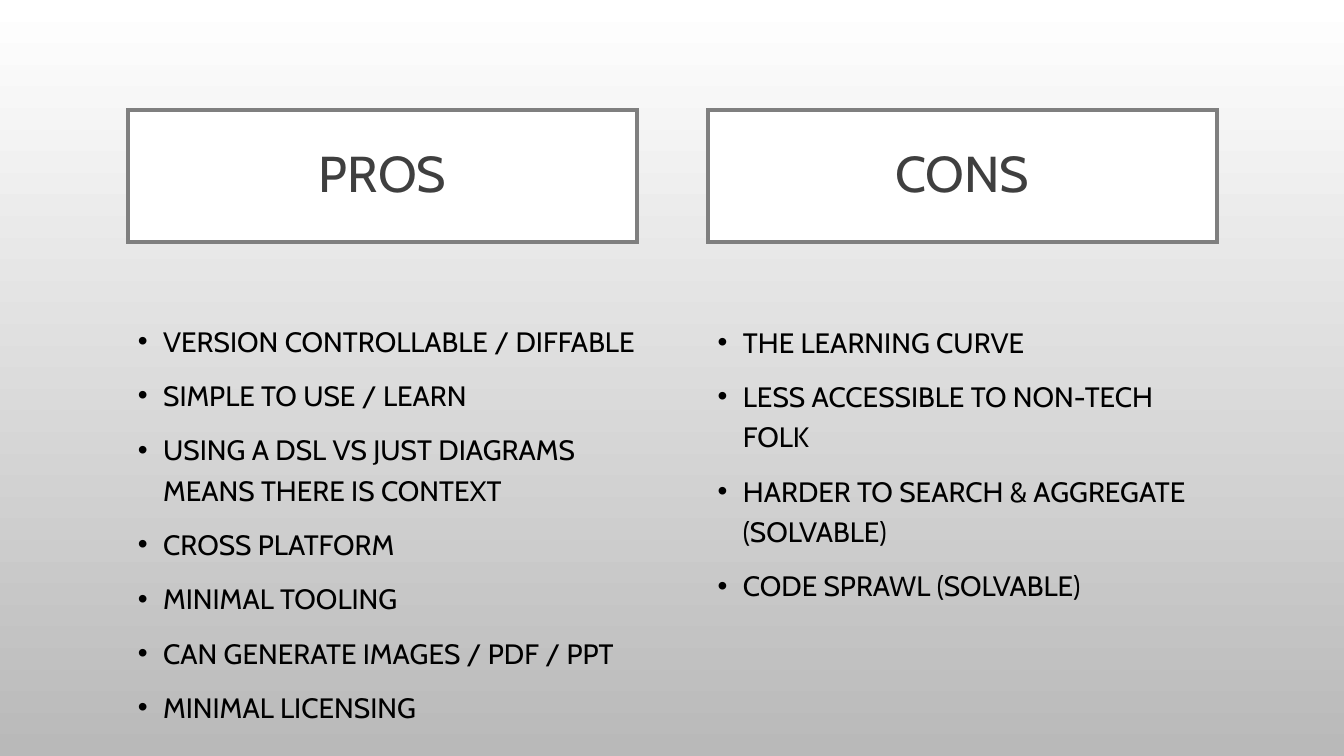
"""Build a slide that lists pros and cons in two columns."""
from lxml import etree
from pptx import Presentation
from pptx import util as u
from pptx.dml.color import RGBColor
from pptx.enum import shapes, text
from pptx.oxml import ns

COLOURS = {"top": "FFFFFF", "bottom": "B9B9B9", "box": "FFFFFF",
           "border": "7F7F7F", "heading": "3F3F3F", "body": "000000"}
FONT = "Cabin"
COLUMNS = [
    ("PROS", 1.27, (3.1, 5.44, 4), [
        "VERSION CONTROLLABLE / DIFFABLE",
        "SIMPLE TO USE / LEARN",
        "USING A DSL VS JUST DIAGRAMS MEANS THERE IS CONTEXT",
        "CROSS PLATFORM",
        "MINIMAL TOOLING",
        "CAN GENERATE IMAGES / PDF / PPT",
        "MINIMAL LICENSING",
    ]),
    ("CONS", 7.02, (3.11, 5.05, 3.24), [
        "THE LEARNING CURVE",
        "LESS ACCESSIBLE TO NON-TECH FOLK",
        "HARDER TO SEARCH & AGGREGATE (SOLVABLE)",
        "CODE SPRAWL (SOLVABLE)",
    ]),
]


def rgb(name):
    return RGBColor.from_string(COLOURS[name])


def style(paragraph, size, colour, spacing):
    paragraph.line_spacing = spacing
    for run in paragraph.runs:
        run.font.name = FONT
        run.font.size = u.Pt(size)
        run.font.color.rgb = rgb(colour)


deck = Presentation()
deck.slide_width, deck.slide_height = u.Inches(13.33), u.Inches(7.5)
slide = deck.slides.add_slide(deck.slide_layouts[6])

backdrop = slide.background.fill
backdrop.gradient()
backdrop.gradient_angle = 270
for stop, colour, position in zip(backdrop.gradient_stops, ("top", "bottom"), (0, 1)):
    stop.color.rgb = rgb(colour)
    stop.position = position

for title, left, (top, width, height), points in COLUMNS:
    heading = slide.shapes.add_shape(
        shapes.MSO_SHAPE.RECTANGLE, u.Inches(left), u.Inches(1.09), u.Inches(5.05), u.Inches(1.31))
    heading.shadow.inherit = False
    heading.fill.solid()
    heading.fill.fore_color.rgb = rgb("box")
    heading.line.color.rgb = rgb("border")
    heading.line.width = u.Pt(3)
    outline = heading.line._get_or_add_ln()
    etree.SubElement(outline, ns.qn("a:miter"), lim="800000")
    heading.text_frame.text = title
    heading.text_frame.vertical_anchor = text.MSO_ANCHOR.MIDDLE
    heading.text_frame.paragraphs[0].alignment = text.PP_ALIGN.CENTER
    style(heading.text_frame.paragraphs[0], 36, "heading", 0.9)

    arguments = slide.shapes.add_textbox(
        u.Inches(left), u.Inches(top), u.Inches(width), u.Inches(height)).text_frame
    arguments.word_wrap = True
    arguments.text = "\n".join(points)
    for index, point in enumerate(arguments.paragraphs):
        style(point, 20, "body", 1.2)
        if index:
            point.space_before = u.Pt(10)
        properties = point._p.get_or_add_pPr()
        properties.set("marL", str(u.Inches(0.25)))
        properties.set("indent", str(-u.Inches(0.25)))
        bullet_colour = etree.SubElement(properties, ns.qn("a:buClr"))
        etree.SubElement(bullet_colour, ns.qn("a:srgbClr"), val=COLOURS["body"])
        etree.SubElement(properties, ns.qn("a:buFont"), typeface="Arial")
        etree.SubElement(properties, ns.qn("a:buChar"), char="•")

deck.save("out.pptx")
